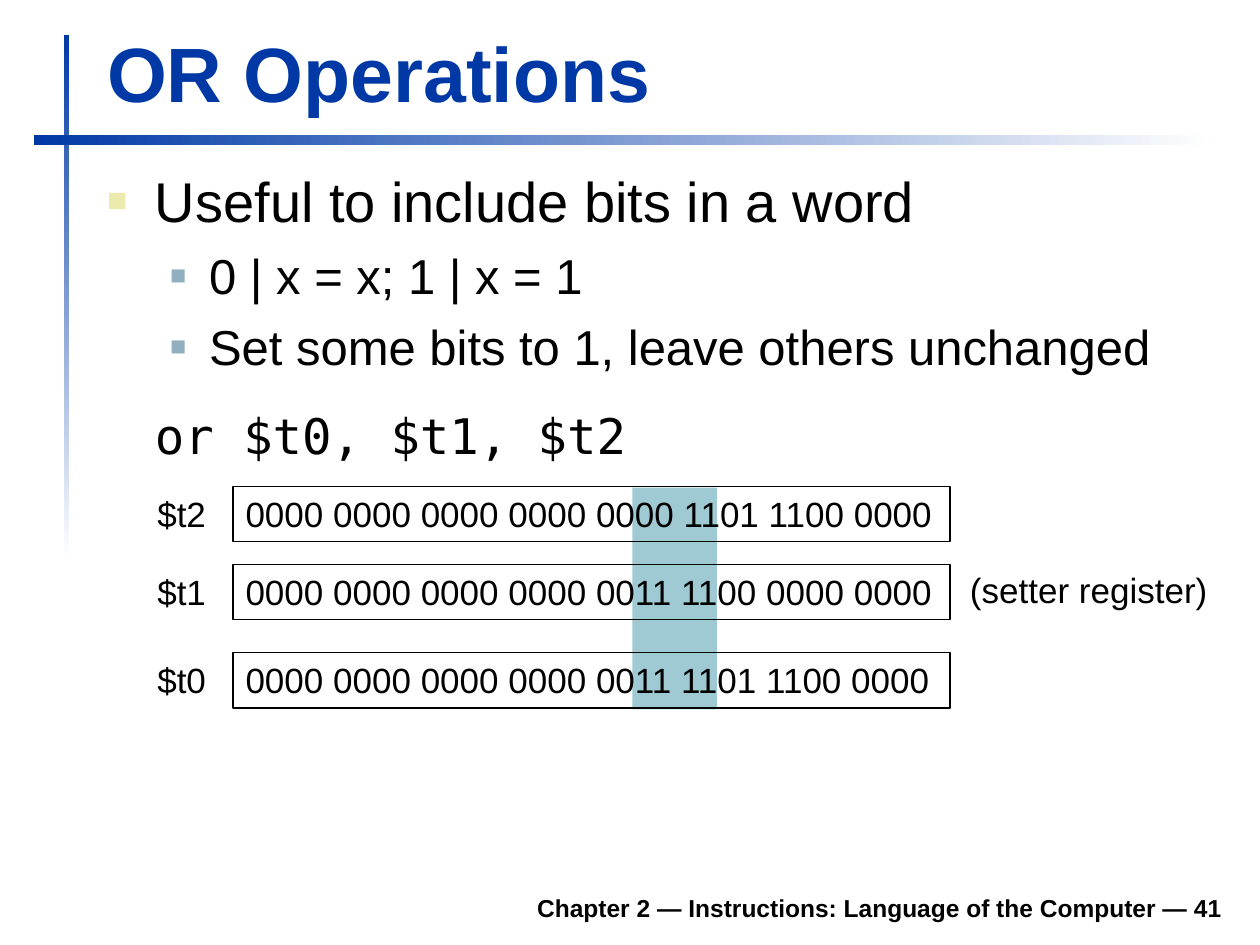
import pptx
import pptx.util
import pptx.dml.color
import pptx.enum.shapes
import pptx.enum.text
import pptx.oxml.ns
import lxml.etree
from dataclasses import dataclass

Inches, Pt = pptx.util.Inches, pptx.util.Pt
RGB = pptx.dml.color.RGBColor.from_string
ANCHOR = pptx.enum.text.MSO_ANCHOR
ALIGN = pptx.enum.text.PP_ALIGN
FIT = pptx.enum.text.MSO_AUTO_SIZE
RECT = pptx.enum.shapes.MSO_SHAPE.RECTANGLE


@dataclass(frozen=True)
class Theme:
    blue: str = "0039A6"
    white: str = "FFFFFF"
    black: str = "000000"
    band: str = "9FCAD3"
    bullets: tuple = ("ECEAAC", "91AFBF")
    bullet_pct: tuple = (60, 55)
    font: str = "Arial"
    mono: str = "DejaVu Sans Mono"
    title: int = 44
    body: tuple = (32, 28)
    label: int = 20
    footer: int = 14


T = Theme()

# Register diagram grid, in inches
NAME_X, WORD_X, NOTE_X = 1.15, 1.85, 7.6
NAME_W, WORD_W, NOTE_W = 0.59, 5.69, 2.1
ROW_H = 0.44
REGISTERS = [
    ("$t2", "0000 0000 0000 0000 0000 1101 1100 0000", 3.86),
    ("$t1", "0000 0000 0000 0000 0011 1100 0000 0000", 4.48),
    ("$t0", "0000 0000 0000 0000 0011 1101 1100 0000", 5.18),
]

# Text, level, space before and after in points
BODY = [
    ("Useful to include bits in a word", 0, 0, 0),
    ("0 | x = x; 1 | x = 1", 1, 7, 0),
    ("Set some bits to 1, leave others unchanged", 1, 7, 0),
]
INDENTS = ((0.38, -0.38), (0.81, -0.31))


def put(obj, **values):
    for name, value in values.items():
        setattr(obj, name, value)


def box(x, y, w, h):
    return [Inches(v) for v in (x, y, w, h)]


def place(sp, x, y, w, h):
    put(sp, **dict(zip(("left", "top", "width", "height"), box(x, y, w, h))))


def write(p, text, size, color=T.black, font=T.font, bold=False):
    r = p.add_run()
    r.text = text
    put(r.font, size=Pt(size), name=font, bold=bold)
    r.font.color.rgb = RGB(color)


def add_rect(s, at, color=None):
    sp = s.shapes.add_shape(RECT, *box(*at))
    sp.shadow.inherit = False
    if color:
        sp.fill.solid()
        sp.fill.fore_color.rgb = RGB(color)
        sp.line.fill.background()
    else:
        sp.fill.background()
        sp.line.color.rgb = RGB(T.black)
        sp.line.width = Pt(0.75)
    return sp


def add_fading_bar(s, at, angle):
    sp = add_rect(s, at, T.blue)
    sp.fill.gradient()
    sp.fill.gradient_angle = angle
    for stop, color, pos in zip(sp.fill.gradient_stops, (T.blue, T.white), (0, 1)):
        stop.color.rgb = RGB(color)
        stop.position = pos


def fill_label(sp, text):
    put(sp.text_frame, word_wrap=False, vertical_anchor=ANCHOR.TOP,
        auto_size=FIT.SHAPE_TO_FIT_TEXT)
    p = sp.text_frame.paragraphs[0]
    p.alignment = ALIGN.LEFT
    write(p, text, T.label)


def add_label(s, text, at):
    fill_label(s.shapes.add_textbox(*box(*at)), text)


def set_bullet(p, margin, indent, color=None, pct=100):
    pPr = p._p.get_or_add_pPr()
    pPr.set("marL", str(Inches(margin)))
    pPr.set("indent", str(Inches(indent)))

    def add(parent, tag, **attrs):
        return lxml.etree.SubElement(parent, pptx.oxml.ns.qn(tag), **attrs)

    if color is None:
        add(pPr, "a:buNone")
        return
    add(add(pPr, "a:buClr"), "a:srgbClr", val=color)
    add(pPr, "a:buSzPct", val=str(pct * 1000))
    add(pPr, "a:buFont", typeface=T.font)
    add(pPr, "a:buChar", char="■")


def fill_title(sp):
    place(sp, 0.75, 0.16, 9.03, 0.83)
    put(sp.text_frame, vertical_anchor=ANCHOR.BOTTOM, word_wrap=True, auto_size=FIT.NONE)
    p = sp.text_frame.paragraphs[0]
    p.alignment = ALIGN.LEFT
    write(p, "OR Operations", T.title, T.blue, bold=True)


def fill_body(sp):
    place(sp, 0.75, 1.23, 9.05, 2.27)
    tf = sp.text_frame
    put(tf, word_wrap=True, auto_size=FIT.NONE, margin_top=Inches(0.09))
    for i, (text, level, before, after) in enumerate(BODY):
        p = tf.add_paragraph() if i else tf.paragraphs[0]
        set_bullet(p, *INDENTS[level], T.bullets[level], T.bullet_pct[level])
        put(p, level=level, space_before=Pt(before), space_after=Pt(after))
        write(p, text, T.body[level])
    # Code line, aligned with the first-level text
    p = tf.add_paragraph()
    set_bullet(p, INDENTS[0][0], 0)
    put(p, space_before=Pt(17), space_after=Pt(10))
    write(p, "or $t0, $t1, $t2", T.body[1], font=T.mono)


def add_footer(s):
    tf = s.shapes.add_textbox(*box(1.85, 6.98, 7.95, 0.39)).text_frame
    put(tf, word_wrap=True, vertical_anchor=ANCHOR.BOTTOM)
    p = tf.paragraphs[0]
    p.alignment = ALIGN.RIGHT
    write(p, "Chapter 2 — Instructions: Language of the Computer — 41", T.footer, bold=True)


def add_registers(s):
    # Band behind the bits that get set
    add_rect(s, (5.02, 3.87, 0.67, 1.76), T.band)
    for name, bits, y in REGISTERS:
        fill_label(add_rect(s, (WORD_X, y, WORD_W, ROW_H)), bits)
        add_label(s, name, (NAME_X, y, NAME_W, ROW_H))
    add_label(s, "(setter register)", (NOTE_X, 4.46, NOTE_W, ROW_H))


def main():
    prs = pptx.Presentation()
    put(prs, slide_width=Inches(10), slide_height=Inches(7.5))
    s = prs.slides.add_slide(prs.slide_layouts[1])
    # Crossing rules
    add_fading_bar(s, (0.51, 0.28, 0.04, 4.17), 270)
    add_fading_bar(s, (0.27, 1.07, 9.37, 0.08), 0)
    fill_title(s.shapes.title)
    fill_body(s.placeholders[1])
    add_registers(s)
    add_footer(s)
    prs.save("out.pptx")


if __name__ == "__main__":
    main()
